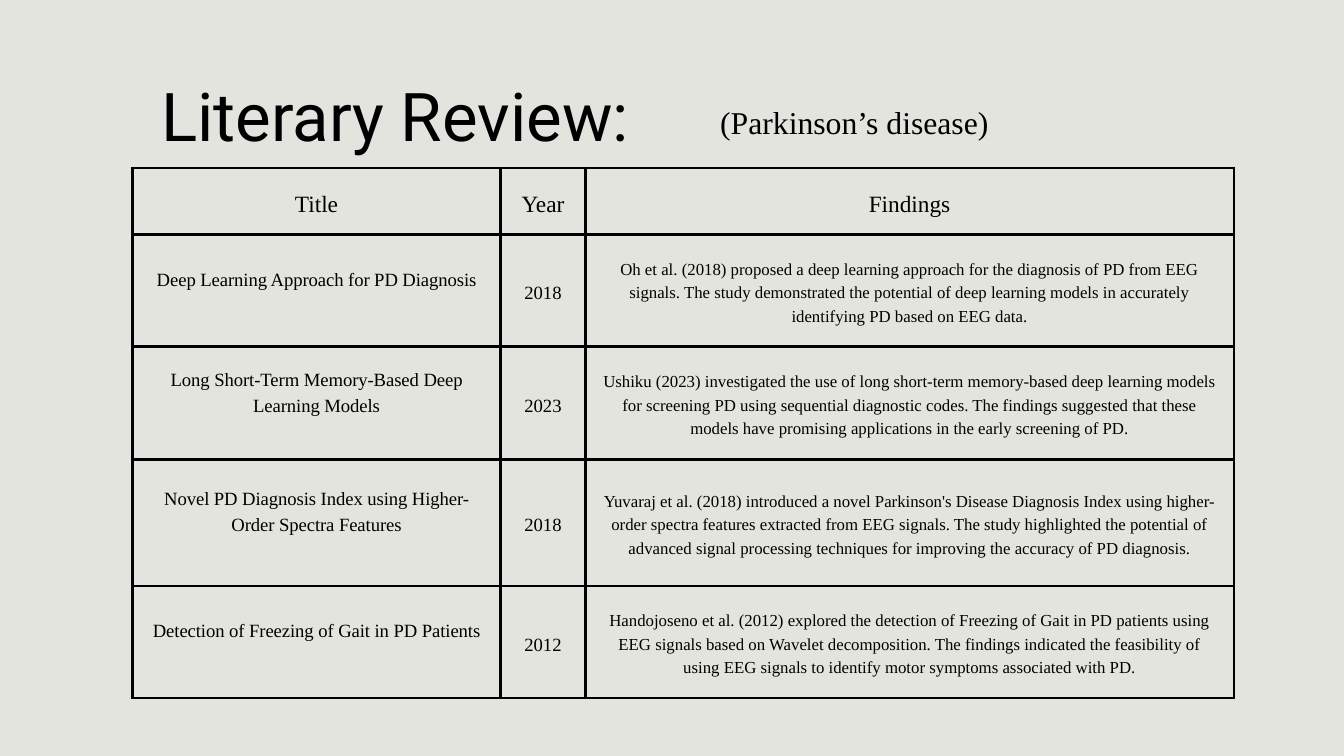
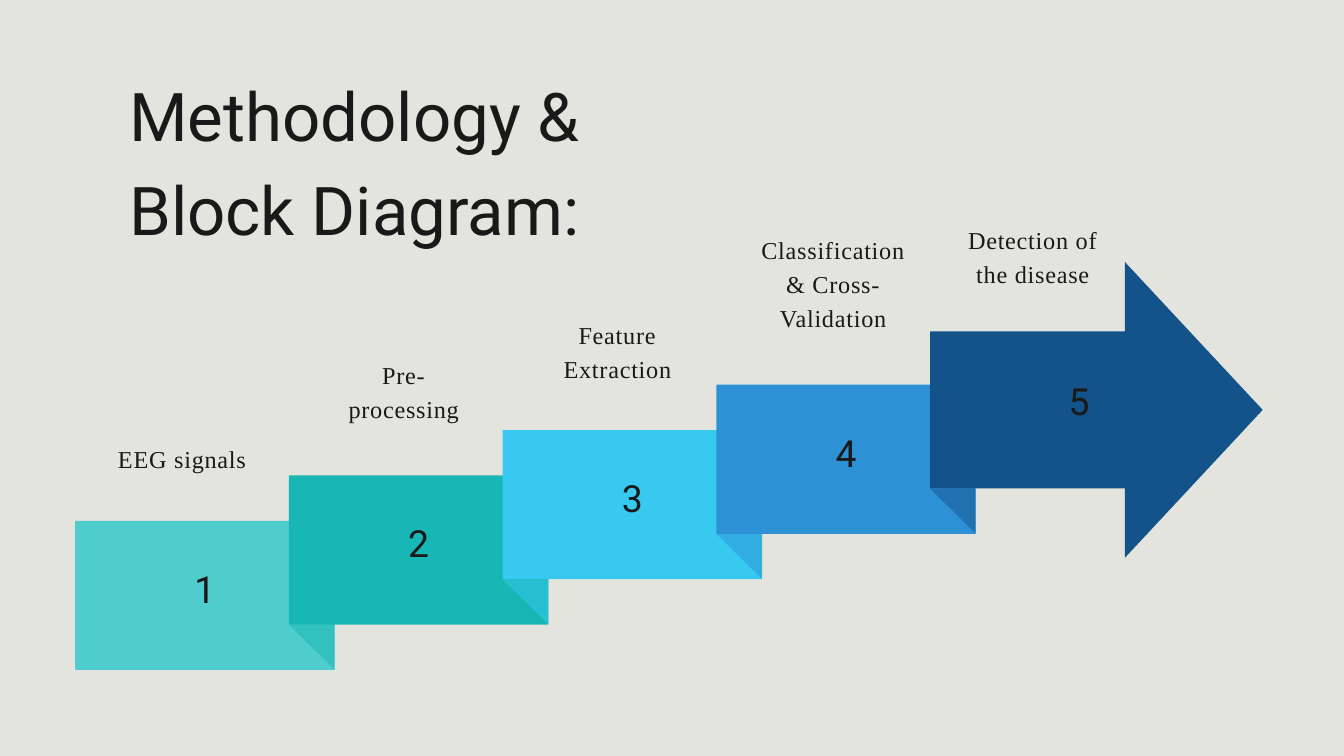
from lxml import etree
from pptx import Presentation
from pptx import util as u
from pptx.dml import color
from pptx.enum import shapes, text
from pptx.oxml import ns

COLORS = {
    "background": "E4E4DE", "black": "000000", "ink": "191919",
    "aqua": "4FCDCC", "teal": "18B6B4", "sky": "37C9EF",
    "blue": "2C92D5", "navy": "13538A",
}
HEADING, BODY = "Roboto", "Times New Roman"
LEADING = 1.4

REVIEW_HEADER = ["Title", "Year", "Findings"]
REVIEW_ROWS = [
    ("Deep Learning Approach for PD Diagnosis", "2018",
     "Oh et al. (2018) proposed a deep learning approach for the diagnosis of PD from EEG "
     "signals. The study demonstrated the potential of deep learning models in accurately "
     "identifying PD based on EEG data."),
    ("Long Short-Term Memory-Based Deep Learning Models", "2023",
     "Ushiku (2023) investigated the use of long short-term memory-based deep learning models "
     "for screening PD using sequential diagnostic codes. The findings suggested that these "
     "models have promising applications in the early screening of PD."),
    ("Novel PD Diagnosis Index using Higher-Order Spectra Features", "2018",
     "Yuvaraj et al. (2018) introduced a novel Parkinson's Disease Diagnosis Index using "
     "higher-order spectra features extracted from EEG signals. The study highlighted the "
     "potential of advanced signal processing techniques for improving the accuracy of PD "
     "diagnosis."),
    ("Detection of Freezing of Gait in PD Patients", "2012",
     "Handojoseno et al. (2012) explored the detection of Freezing of Gait in PD patients using "
     "EEG signals based on Wavelet decomposition. The findings indicated the feasibility of "
     "using EEG signals to identify motor symptoms associated with PD."),
]
COLUMN_WIDTHS = [5.48, 1.26, 9.65]
ROW_HEIGHTS = [0.99, 1.67, 1.68, 1.88, 1.67]
COLUMN_STYLES = [(20, -0.1, 0.6), (20, 0, 0.21), (18, 0, 0.21)]

STEPS = [
    ("EEG signals", "aqua", (1.68, 6.54, 2.06, 0.54)),
    ("Pre-processing", "teal", (4.98, 5.29, 2.06, 1.04)),
    ("Feature Extraction", "sky", (8.16, 4.69, 2.06, 1.04)),
    ("Classification & Cross-Validation", "blue", (11.28, 3.43, 2.24, 1.54)),
    ("Detection of the disease", "navy", (14.34, 3.28, 2.06, 1.04)),
]
STEP_RIGHT, STEP_UP = 3.18, 0.675
BLOCK_WIDTH, BLOCK_HEIGHT = 3.86, 2.22
FOLD_WIDTH, FOLD_HEIGHT = 0.68, 0.67
ARROW_WIDTH, ARROW_HEIGHT, SHAFT_HEIGHT, HEAD_LENGTH = 4.95, 4.4, 2.34, 2.05


def rgb(name):
    return color.RGBColor.from_string(COLORS[name])


def inches(*lengths):
    return [u.Inches(length) for length in lengths]


def write(frame, lines, size, font=BODY, ink="ink", spacing=0):
    for index, line in enumerate(lines):
        para = frame.paragraphs[0] if index == 0 else frame.add_paragraph()
        para.alignment = text.PP_ALIGN.CENTER
        para.line_spacing = u.Pt(size * LEADING)
        span = para.add_run()
        span.text = line
        span.font.size = u.Pt(size)
        span.font.name = font
        span.font.color.rgb = rgb(ink)
        if spacing:
            span._r.get_or_add_rPr().set("spc", str(round(spacing * 100)))


def set_margins(holder, margin, bottom=None):
    holder.margin_left = holder.margin_right = holder.margin_top = u.Inches(margin)
    holder.margin_bottom = u.Inches(margin if bottom is None else bottom)


def add_text(page, box, lines, size, margin=0, anchor=text.MSO_ANCHOR.TOP, **style):
    frame = page.shapes.add_textbox(*inches(*box)).text_frame
    frame.word_wrap = True
    frame.vertical_anchor = anchor
    set_margins(frame, margin)
    write(frame, lines, size, **style)


def add_title(page, box, lines, ink):
    add_text(page, box, lines, 72, font=HEADING, ink=ink)


def add_solid(page, kind, box, fill, opacity=100):
    solid = page.shapes.add_shape(kind, *inches(*box))
    solid.shadow.inherit = False
    solid.fill.solid()
    solid.fill.fore_color.rgb = rgb(fill)
    solid.line.fill.background()
    if opacity < 100:
        tint = solid.fill._xPr.find(".//" + ns.qn("a:srgbClr"))
        etree.SubElement(tint, ns.qn("a:alpha")).set("val", str(opacity * 1000))
    return solid


def add_page(deck):
    page = deck.slides.add_slide(deck.slide_layouts[6])
    page.background.fill.solid()
    page.background.fill.fore_color.rgb = rgb("background")
    return page


def border_cell(cell):
    properties = cell._tc.get_or_add_tcPr()
    for side in ("lnL", "lnR", "lnT", "lnB"):
        edge = etree.SubElement(properties, ns.qn("a:" + side), w=str(u.Pt(3)))
        paint = etree.SubElement(edge, ns.qn("a:solidFill"))
        etree.SubElement(paint, ns.qn("a:srgbClr"), val=COLORS["black"])


def review_table(page, left, top):
    box = inches(left, top, sum(COLUMN_WIDTHS), sum(ROW_HEIGHTS))
    table = page.shapes.add_table(len(ROW_HEIGHTS), len(COLUMN_WIDTHS), *box).table
    table.first_row = table.horz_banding = False
    for column, width in zip(table.columns, COLUMN_WIDTHS):
        column.width = u.Inches(width)
    for row, height, words in zip(table.rows, ROW_HEIGHTS, [REVIEW_HEADER, *REVIEW_ROWS]):
        row.height = u.Inches(height)
        for cell, word, style in zip(row.cells, words, COLUMN_STYLES):
            size, spacing, bottom = (25, 0, 0.21) if words is REVIEW_HEADER else style
            border_cell(cell)
            cell.fill.background()
            cell.vertical_anchor = text.MSO_ANCHOR.MIDDLE
            set_margins(cell, 0.21, bottom)
            write(cell.text_frame, [word], size, ink="black", spacing=spacing)


def add_number(page, box, number):
    add_text(page, box, [str(number)], 40, margin=0.06, anchor=text.MSO_ANCHOR.MIDDLE,
             font=HEADING, spacing=2)


def add_block(page, left, bottom, number, fill):
    add_solid(page, shapes.MSO_SHAPE.RECTANGLE,
              (left, bottom - BLOCK_HEIGHT, BLOCK_WIDTH, BLOCK_HEIGHT), fill)
    add_number(page, (left, bottom - 2.54, BLOCK_WIDTH, 2.54), number)


def add_arrow(page, left, bottom, number, fill):
    middle = bottom - SHAFT_HEIGHT / 2
    arrow = add_solid(page, shapes.MSO_SHAPE.RIGHT_ARROW,
                      (left, middle - ARROW_HEIGHT / 2, ARROW_WIDTH, ARROW_HEIGHT), fill)
    arrow.adjustments[0] = SHAFT_HEIGHT / ARROW_HEIGHT
    arrow.adjustments[1] = HEAD_LENGTH / ARROW_HEIGHT
    add_number(page, (left, bottom - 2.72, 4.44, 2.72), number)


def add_fold(page, left, top, fill):
    fold = add_solid(page, shapes.MSO_SHAPE.RIGHT_TRIANGLE,
                     (left, top, FOLD_WIDTH, FOLD_HEIGHT), fill, opacity=50)
    fold.rotation = 180


def staircase(page, left, bottom):
    for index, (label, fill, label_box) in enumerate(STEPS):
        step_left, step_bottom = left + index * STEP_RIGHT, bottom - index * STEP_UP
        if index:
            add_fold(page, step_left, step_bottom, fill)
        add_step = add_arrow if index == len(STEPS) - 1 else add_block
        add_step(page, step_left, step_bottom, index + 1, fill)
        add_text(page, label_box, [label], 26, spacing=0.8)


def review_page(deck):
    page = add_page(deck)
    review_table(page, 1.97, 2.5)
    add_title(page, (1.12, 0.9, 9.52, 1.42), ["Literary Review:"], "black")
    add_text(page, (10.65, 1.44, 4.13, 0.71), ["(Parkinson’s disease)"], 34, ink="black")


def methodology_page(deck):
    page = add_page(deck)
    staircase(page, 1.12, 9.97)
    add_title(page, (0.72, 0.9, 9.11, 2.82), ["Methodology &", "Block Diagram:"], "ink")


def main():
    deck = Presentation()
    deck.slide_width, deck.slide_height = inches(20, 11.25)
    review_page(deck)
    methodology_page(deck)
    deck.save("out.pptx")


if __name__ == "__main__":
    main()
